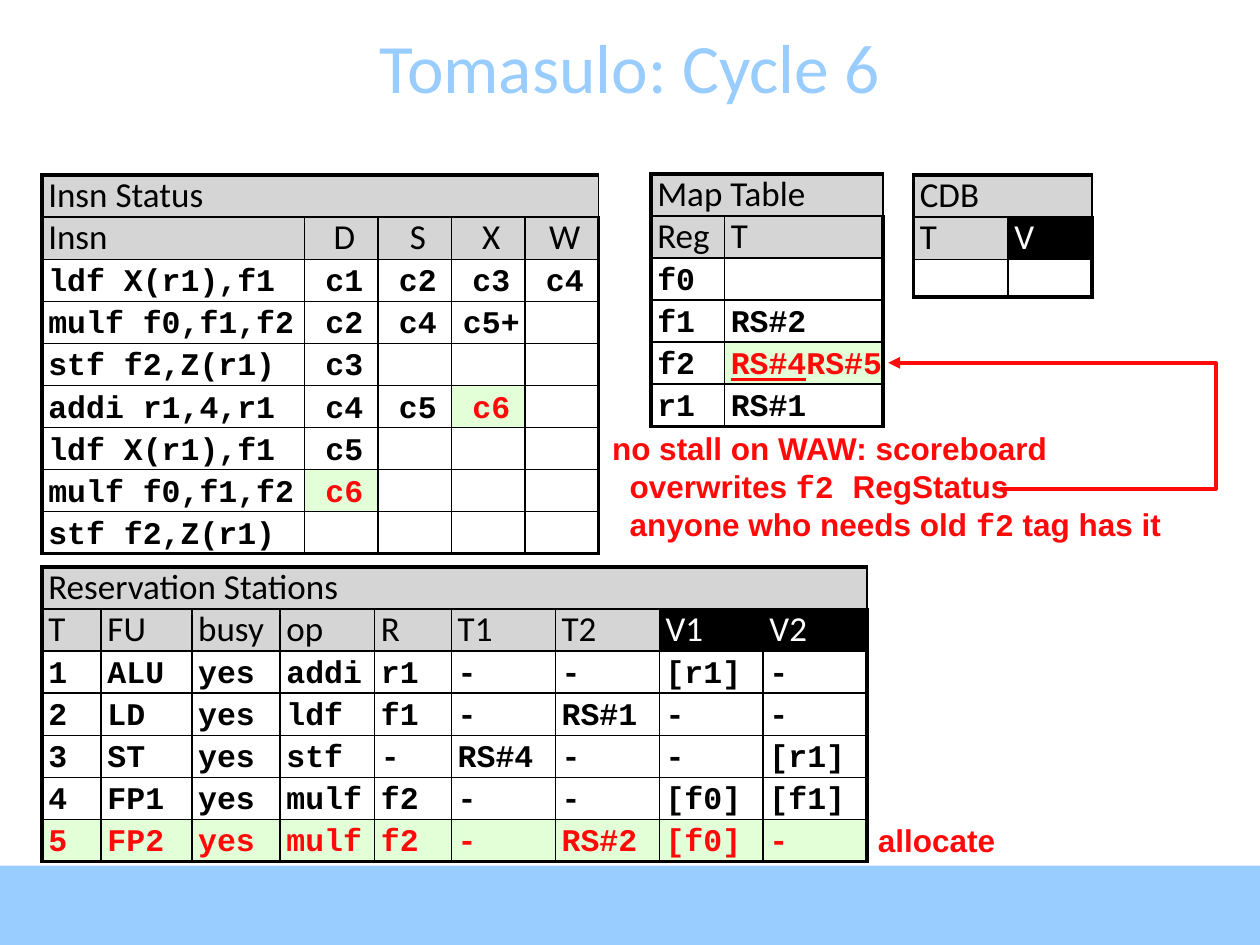
from dataclasses import dataclass
from typing import Optional
from lxml.etree import SubElement
from pptx import Presentation
from pptx.dml.color import RGBColor
from pptx.enum.shapes import MSO_SHAPE
from pptx.enum.text import MSO_ANCHOR, PP_ALIGN
from pptx.oxml.ns import qn
from pptx.util import Emu, Inches, Pt


@dataclass(frozen=True)
class Theme:
    sky: str = "99CCFF"
    ink: str = "000000"
    paper: str = "FFFFFF"
    header: str = "D5D5D5"
    fresh: str = "E2FFD8"
    alert: str = "FF0909"
    sans: str = "Calibri"
    mono: str = "Courier New"
    label: str = "Arial"
    title_size: float = 39.6
    head_size: float = 20
    body_size: float = 18
    thick: float = 2.25
    thin: float = 1


@dataclass(frozen=True)
class Run:
    text: str
    font: str
    size: float
    color: str
    bold: bool = True
    underline: Optional[bool] = None


@dataclass(frozen=True)
class Grid:
    left: float
    top: float
    cols: tuple
    lines: tuple
    fresh: frozenset = frozenset()
    dark: frozenset = frozenset()
    centered: bool = False
    last_row: float = 4


T = Theme()
ROW = 4


def u(n: float) -> Emu:
    return Inches(n / 12)


def rgb(color: str) -> RGBColor:
    return RGBColor.from_string(color)


def add_run(p, run: Run) -> None:
    r = p.add_run()
    r.text = run.text
    f = r.font
    f.name, f.size, f.bold, f.underline = run.font, Pt(run.size), run.bold, run.underline
    f.color.rgb = rgb(run.color)


def add_text(s, box: tuple, paras: list, wrap: bool = False, hang: float = 0):
    sp = s.shapes.add_textbox(*map(u, box))
    tf = sp.text_frame
    tf.word_wrap = wrap
    for i, runs in enumerate(paras):
        p = tf.add_paragraph() if i else tf.paragraphs[0]
        if i and hang:
            p._p.get_or_add_pPr().set("marL", str(u(hang)))
        for run in runs:
            add_run(p, run)
    return tf


def set_borders(cell, widths: dict) -> None:
    pr = cell._tc.get_or_add_tcPr()
    for i, (side, width) in enumerate(widths.items()):
        ln = pr.makeelement(qn(f"a:ln{side}"), {"w": str(Pt(width))})
        SubElement(SubElement(ln, qn("a:solidFill")), qn("a:srgbClr"), val=T.ink)
        pr.insert(i, ln)


def fill_cell(cell, text, row: int, col: int, grid: Grid) -> None:
    spot = (row, col)
    fresh, dark = spot in grid.fresh, spot in grid.dark
    cell.margin_left = Inches(0.05)
    cell.margin_top = cell.margin_right = cell.margin_bottom = 0
    back = T.ink if dark else T.fresh if fresh else T.header if row < 2 else None
    if back:
        cell.fill.solid()
        cell.fill.fore_color.rgb = rgb(back)
    else:
        cell.fill.background()
    if not text:
        return
    p = cell.text_frame.paragraphs[0]
    p.line_spacing, p.space_before = Pt(24), Pt(15)
    if grid.centered and row and col:
        p.alignment = PP_ALIGN.CENTER
    color = T.paper if dark else T.alert if fresh else T.ink
    if isinstance(text, str):
        text = (Run(text, T.sans, T.head_size, color, False) if row < 2
                else Run(text, T.mono, T.body_size, color),)
    for run in text:
        add_run(p, run)


def add_grid(s, grid: Grid) -> None:
    n_rows, n_cols = len(grid.lines), len(grid.cols)
    heights = [ROW] * (n_rows - 1) + [grid.last_row]
    frame = s.shapes.add_table(n_rows, n_cols, u(grid.left), u(grid.top),
                               u(sum(grid.cols)), u(sum(heights)))
    table = frame.table
    table.first_row = table.horz_banding = False
    for column, width in zip(table.columns, grid.cols):
        column.width = u(width)
    for row, (line, height) in enumerate(zip(grid.lines, heights)):
        table.rows[row].height = u(height)
        texts = line.split("|") if isinstance(line, str) else line
        for col in range(n_cols):
            cell = table.cell(row, col)
            fill_cell(cell, texts[col] if col < len(texts) else "", row, col, grid)
            edges = {"L": col == 0, "R": col == n_cols - 1,
                     "T": row == 0, "B": row == n_rows - 1}
            set_borders(cell, {k: T.thick if e else T.thin for k, e in edges.items()})
    table.cell(0, 0).merge(table.cell(0, n_cols - 1))


def add_arrow(s, points: list) -> None:
    start, *rest = [(u(x), u(y)) for x, y in points]
    builder = s.shapes.build_freeform(*start)
    builder.add_line_segments(rest, close=False)
    sp = builder.convert_to_shape()
    sp.shadow.inherit = False
    sp.fill.background()
    sp.line.color.rgb = rgb(T.alert)
    sp.line.width = Pt(T.thick)
    SubElement(sp.line._get_or_add_ln(), qn("a:tailEnd"), type="triangle")


def note(text: str, font: str = T.label) -> Run:
    return Run(text, font, T.body_size, T.alert)


RETAGGED = (Run("RS#4", T.mono, T.body_size, T.alert, underline=True),
            Run("RS#5", T.mono, T.body_size, T.alert, underline=False))

GRIDS = (
    Grid(4, 16.68, (25, 7, 7, 7, 7),
         ("Insn Status", "Insn|D|S|X|W", "ldf X(r1),f1|c1|c2|c3|c4",
          "mulf f0,f1,f2|c2|c4|c5+", "stf f2,Z(r1)|c3", "addi r1,4,r1|c4|c5|c6",
          "ldf X(r1),f1|c5", "mulf f0,f1,f2|c6", "stf f2,Z(r1)"),
         fresh=frozenset({(5, 3), (7, 1)}), centered=True),
    Grid(62, 16.56, (7, 15.1),
         ("Map Table", "Reg|T", "f0", "f1|RS#2", ("f2", RETAGGED), "r1|RS#1"),
         fresh=frozenset({(4, 1)})),
    Grid(4, 54, (5.64, 8.64, 8.4, 9, 7.32) + (9.9,) * 4,
         ("Reservation Stations", "T|FU|busy|op|R|T1|T2|V1|V2",
          "1|ALU|yes|addi|r1|-|-|[r1]|-", "2|LD|yes|ldf|f1|-|RS#1|-|-",
          "3|ST|yes|stf|-|RS#4|-|-|[r1]", "4|FP1|yes|mulf|f2|-|-|[f0]|[f1]",
          "5|FP2|yes|mulf|f2|-|RS#2|[f0]|-"),
         fresh=frozenset((6, c) for c in range(9)), dark=frozenset({(1, 7), (1, 8)})),
    Grid(87, 16.68, (9, 8), ("CDB", "T|V", ""),
         dark=frozenset({(1, 1)}), last_row=3.4),
)

prs = Presentation()
prs.slide_width, prs.slide_height = u(120), u(90)
s = prs.slides.add_slide(prs.slide_layouts[6])

bar = s.shapes.add_shape(MSO_SHAPE.RECTANGLE, 0, u(82.44), u(120), u(7.56))
bar.shadow.inherit = False
bar.fill.solid()
bar.fill.fore_color.rgb = rgb(T.sky)
bar.line.fill.background()

title = add_text(s, (0, 2.52, 120, 7.56),
                 [[Run("Tomasulo: Cycle 6", T.sans, T.title_size, T.sky, False)]], wrap=True)
title.vertical_anchor = MSO_ANCHOR.MIDDLE
title.paragraphs[0].alignment = PP_ALIGN.CENTER

for grid in GRIDS:
    add_grid(s, grid)

add_text(s, (82.44, 77.64, 13.56, 4.8), [[note("allocate")]])
add_arrow(s, [(95.28, 46.56), (115.8, 46.56), (115.8, 34.56), (84.6, 34.56)])
add_text(s, (57.12, 40.32, 56.76, 12), [
    [note("no stall on WAW: scoreboard")],
    [note("overwrites "), note("f2 ", T.mono), note("RegStatus")],
    [note("anyone who needs old "), note("f2", T.mono), note(" tag has it")],
], hang=1.67)

prs.save("out.pptx")
